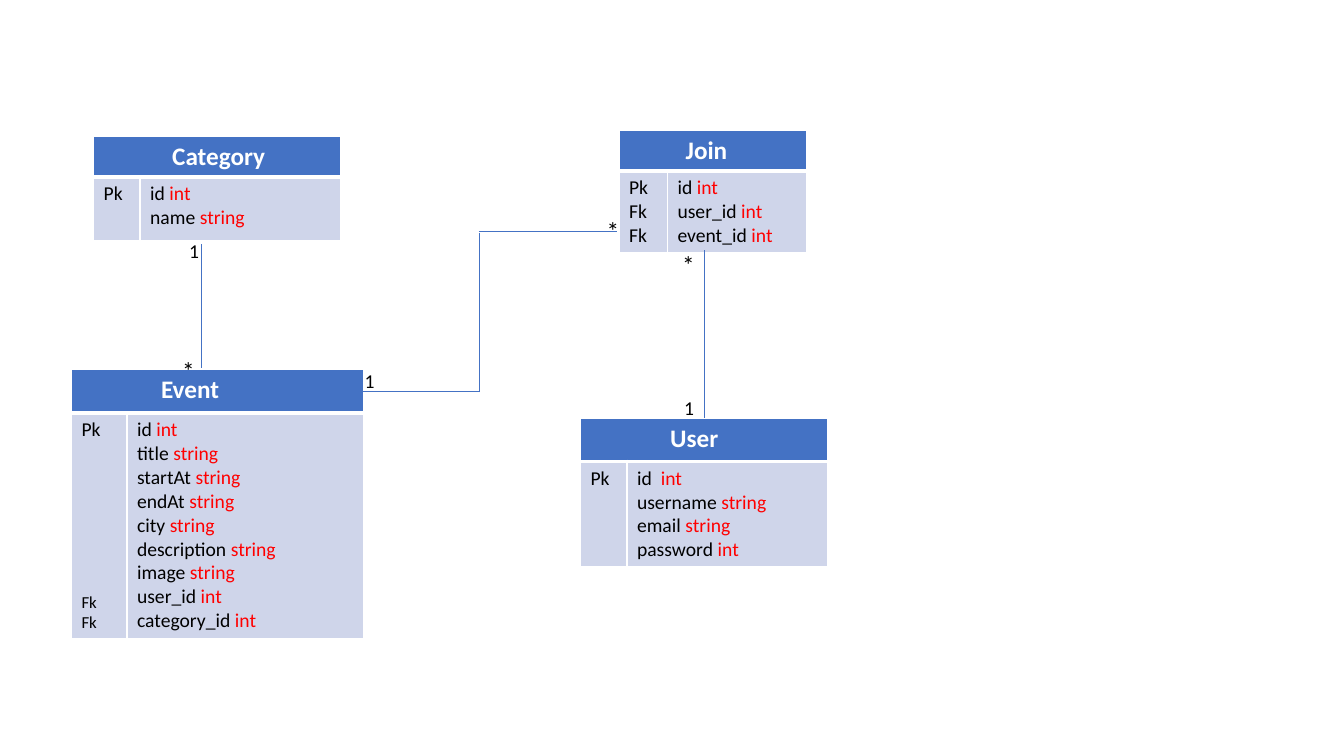
from dataclasses import dataclass
from typing import Any

from lxml import etree
from pptx import Presentation
from pptx import util as u
from pptx.dml.color import RGBColor
from pptx.enum import shapes, text
from pptx.oxml import ns

BLUE = RGBColor(0x44, 0x72, 0xC4)
PALE = RGBColor(0xCF, 0xD5, 0xEA)
WHITE = RGBColor(0xFF, 0xFF, 0xFF)
BLACK = RGBColor(0x00, 0x00, 0x00)
RED = RGBColor(0xFF, 0x00, 0x00)

BODY = {"name": "Calibri", "size": u.Pt(14), "bold": False}
SMALL = BODY | {"size": u.Pt(12)}
LARGE = BODY | {"size": u.Pt(18)}
TITLE = LARGE | {"bold": True}
FRAME = {"word_wrap": True, "auto_size": text.MSO_AUTO_SIZE.SHAPE_TO_FIT_TEXT}


@dataclass(frozen=True)
class Key:
    name: str
    style: dict[str, Any]
    gap: float = 0


@dataclass(frozen=True)
class Entity:
    title: str
    indent: float
    left: float
    top: float
    columns: tuple[float, float]
    rows: tuple[float, float]
    keys: tuple[Key, ...]
    fields: tuple[tuple[str, str], ...]


@dataclass(frozen=True)
class Cardinality:
    mark: str
    left: float
    top: float
    width: float = 2.72


@dataclass(frozen=True)
class Link:
    start: tuple[float, float]
    end: tuple[float, float]


PK = Key("Pk", BODY)
FK = Key("Fk", BODY)

ENTITIES = (
    Entity("Event", 2.26, 1.8, 9.32, (1.4, 5.97), (1.09, 5.68),
           (PK, Key("Fk", SMALL, 3.79), Key("Fk", SMALL)),
           (("id ", "int"), ("title ", "string"), ("startAt ", "string"),
            ("endAt ", "string"), ("city ", "string"), ("description ", "string"),
            ("image ", "string"), ("user_id ", "int"), ("category_id ", "int"))),
    Entity("User", 2.26, 14.63, 10.54, (1.17, 5.05), (1.09, 2.64), (PK,),
           (("id  ", "int"), ("username ", "string"), ("email ", "string"),
            ("password ", "int"))),
    Entity("Join", 1.68, 15.6, 3.28, (1.22, 3.5), (1.03, 2.03), (PK, FK, FK),
           (("id ", "int"), ("user_id ", "int"), ("event_id ", "int"))),
    Entity("Category", 1.98, 2.36, 3.43, (1.17, 5.05), (1.03, 1.61), (PK,),
           (("id ", "int"), ("name ", "string"))),
)

CARDINALITIES = (
    Cardinality("*", 16.94, 6.15),
    Cardinality("1", 4.52, 5.89),
    Cardinality("*", 4.34, 8.84),
    Cardinality("1", 8.94, 9.17, 1.3),
    Cardinality("1", 16.99, 9.86),
    Cardinality("*", 15.04, 5.31),
)

LINKS = (
    Link((5.08, 9.27), (5.08, 6.15)),
    Link((12.07, 5.82), (15.54, 5.82)),
    Link((17.75, 6.3), (17.75, 10.54)),
    Link((12.07, 9.86), (9.14, 9.86)),
    Link((12.07, 9.88), (12.07, 5.87)),
)


def apply(target: Any, values: dict[str, Any]) -> None:
    for name, value in values.items():
        setattr(target, name, value)


def add_run(paragraph: Any, words: str, style: dict[str, Any], color: RGBColor) -> None:
    run = paragraph.add_run()
    run.text = words
    apply(run.font, style)
    run.font.color.rgb = color


def next_paragraph(frame: Any, index: int) -> Any:
    return frame.add_paragraph() if index else frame.paragraphs[0]


def style_cell(cell: Any, fill: RGBColor, bottom: float) -> None:
    cell.fill.solid()
    cell.fill.fore_color.rgb = fill
    properties = cell._tc.get_or_add_tcPr()
    widths = {"a:lnL": 1, "a:lnR": 1, "a:lnT": 1, "a:lnB": bottom}
    for position, (side, width) in enumerate(widths.items()):
        border = etree.Element(ns.qn(side), w=str(u.Pt(width)))
        solid = etree.SubElement(border, ns.qn("a:solidFill"))
        etree.SubElement(solid, ns.qn("a:srgbClr"), val=str(WHITE))
        properties.insert(position, border)


def draw_entity(slide: Any, entity: Entity) -> None:
    table = slide.shapes.add_table(
        2, 2, u.Cm(entity.left), u.Cm(entity.top),
        u.Cm(sum(entity.columns)), u.Cm(sum(entity.rows))).table
    for column, width in zip(table.columns, entity.columns):
        column.width = u.Cm(width)
    for row, height in zip(table.rows, entity.rows):
        row.height = u.Cm(height)

    header = table.cell(0, 0)
    header.merge(table.cell(0, 1))
    for column in range(2):
        style_cell(table.cell(0, column), BLUE, 3)
        style_cell(table.cell(1, column), PALE, 1)
    header.margin_left = u.Cm(entity.indent)
    add_run(header.text_frame.paragraphs[0], entity.title, TITLE, WHITE)

    key_frame = table.cell(1, 0).text_frame
    for index, key in enumerate(entity.keys):
        paragraph = next_paragraph(key_frame, index)
        if key.gap:
            paragraph.space_before = u.Cm(key.gap)
        add_run(paragraph, key.name, key.style, BLACK)

    field_frame = table.cell(1, 1).text_frame
    for index, (field, kind) in enumerate(entity.fields):
        paragraph = next_paragraph(field_frame, index)
        add_run(paragraph, field, BODY, BLACK)
        add_run(paragraph, kind, BODY, RED)


def draw_cardinality(slide: Any, cardinality: Cardinality) -> None:
    many = cardinality.mark == "*"
    label = slide.shapes.add_textbox(
        u.Cm(cardinality.left), u.Cm(cardinality.top),
        u.Cm(cardinality.width), u.Cm(1.02 if many else 0.86))
    apply(label.text_frame, FRAME)
    add_run(label.text_frame.paragraphs[0], cardinality.mark,
            LARGE if many else BODY, BLACK)


def draw_link(slide: Any, link: Link) -> None:
    points = [u.Cm(value) for value in link.start + link.end]
    connector = slide.shapes.add_connector(shapes.MSO_CONNECTOR.STRAIGHT, *points)
    connector.line.width = u.Pt(0.5)
    connector.line.color.rgb = BLUE
    etree.SubElement(connector._element.spPr, ns.qn("a:effectLst"))


deck = Presentation()
apply(deck, {"slide_width": u.Cm(33.87), "slide_height": u.Cm(19.05)})
diagram = deck.slides.add_slide(deck.slide_layouts[6])
for entity in ENTITIES:
    draw_entity(diagram, entity)
for link in LINKS:
    draw_link(diagram, link)
for cardinality in CARDINALITIES:
    draw_cardinality(diagram, cardinality)
deck.save("out.pptx")
